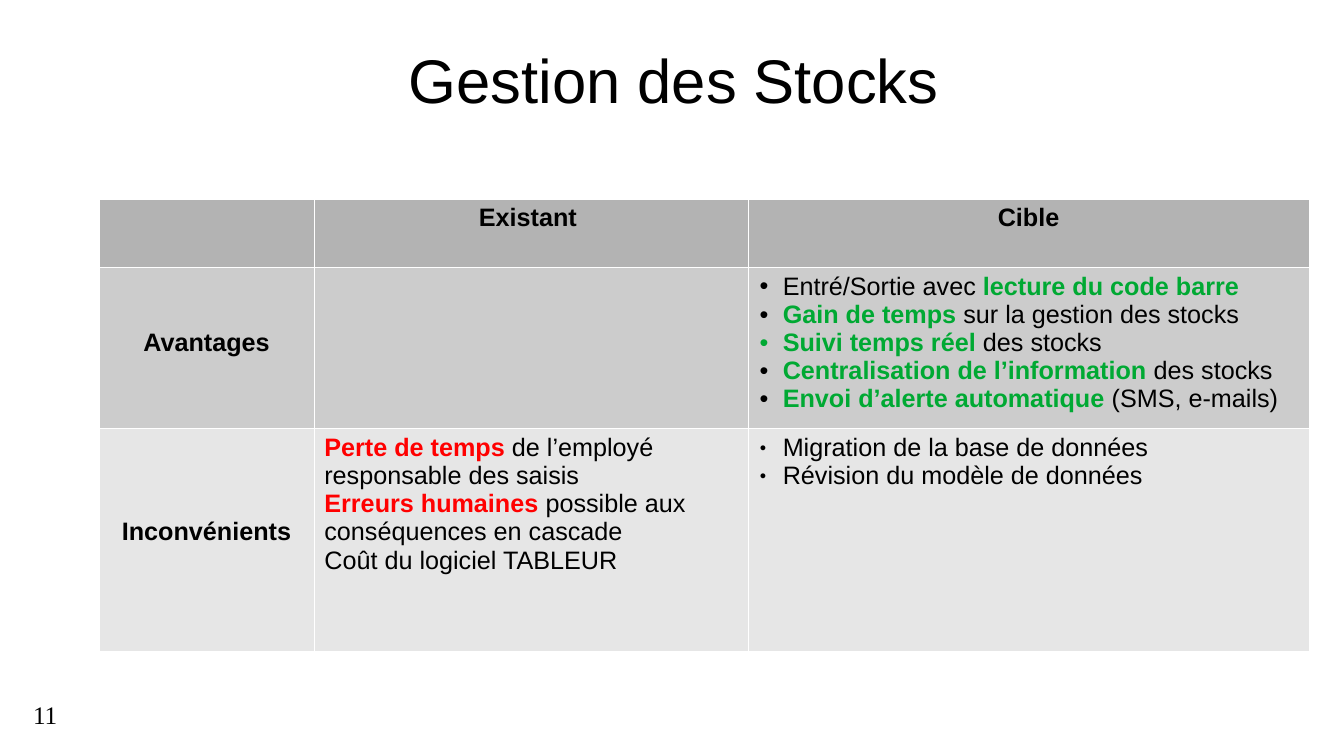
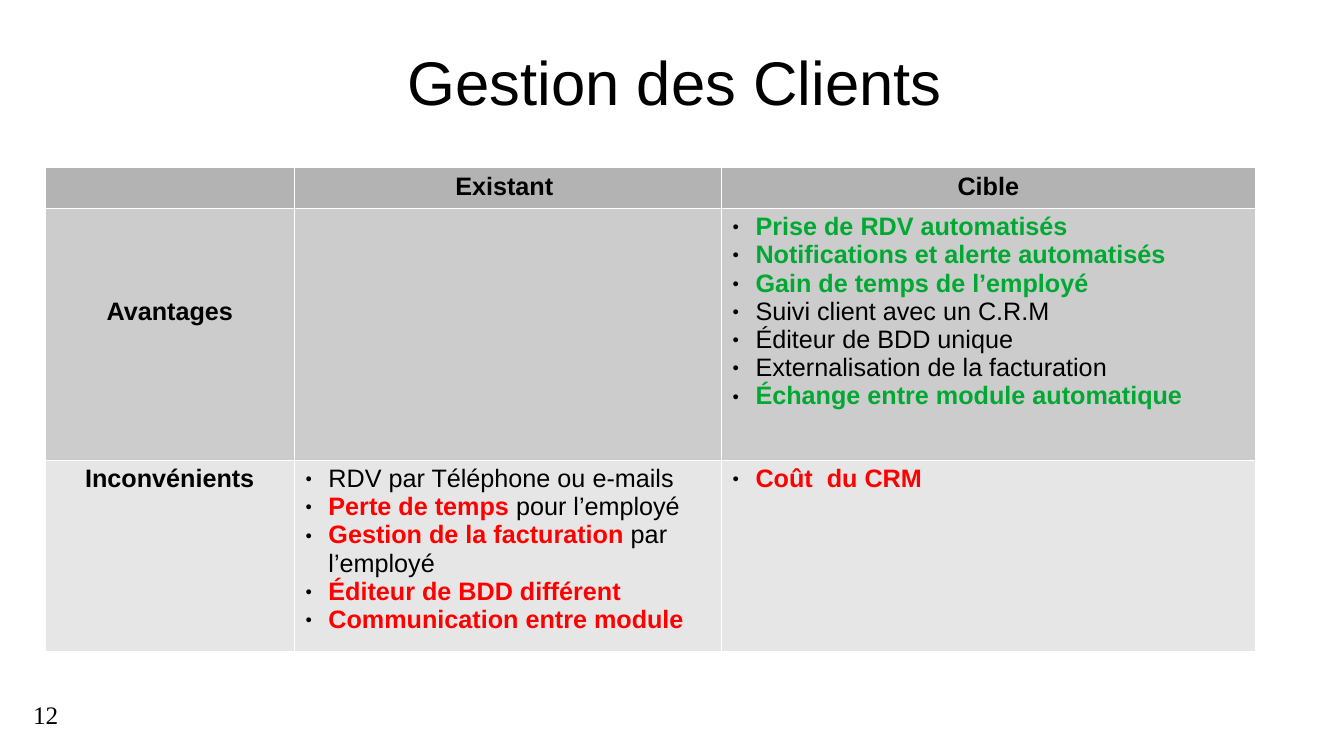
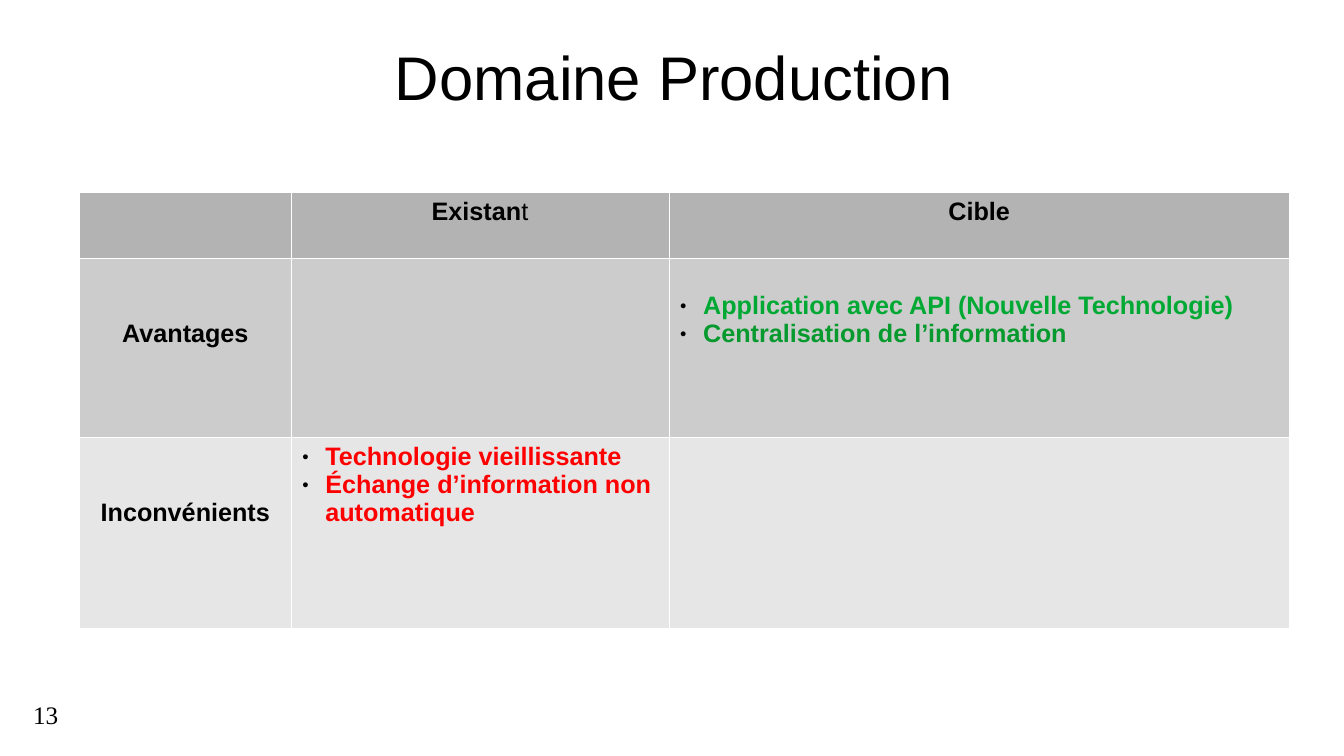
from dataclasses import dataclass

from lxml import etree
from pptx import Presentation
from pptx import util as u
from pptx.dml.color import RGBColor
from pptx.enum import text
from pptx.oxml import ns


class Theme:
    black, white = "000000", "FFFFFF"
    green, deep_green, red = "00A933", "069A2E", "FF0000"
    row_fills = ("B3B3B3", "CCCCCC", "E6E6E6")
    row_emphasis = (black, green, red)
    font, number_font = "Arial", "Times New Roman"
    title_size, body_size = 44, 18
    border_width = 0.06
    inset_x, inset_y = 0.1, 0.05
    line_height = 0.28
    mark_sizes = {"●": 45, "•": 100}


# Positions are percentages of the slide's width and height
SLIDE_WIDTH, SLIDE_HEIGHT = 13.34, 7.5
NUMBER_BOX = (1.72, 91.87, 11.47, 6.13)
FIRST_NUMBER = 11


@dataclass
class Item:
    """One paragraph; parts between bars are bold and coloured."""
    words: str
    mark: str = "●"
    mark_color: str = Theme.black
    emphasis: str = ""
    centered: bool = False


@dataclass
class Comparison:
    title: str
    title_box: tuple
    table_corner: tuple
    columns: tuple
    rows: tuple
    label_leads: tuple  # lines left free above each row label
    target_pros: list
    current_cons: list
    target_cons: list
    current_heading: str = "|Existant |"
    target_lead: int = 0
    title_centered_in_box: bool = False


def across(share):
    return u.Inches(SLIDE_WIDTH * share / 100)


def down(share):
    return u.Inches(SLIDE_HEIGHT * share / 100)


def apply(target, values):
    for name, value in values.items():
        setattr(target, name, value)


def add_run(paragraph, words, size, font=Theme.font, color=Theme.black, bold=False):
    run = paragraph.add_run()
    run.text = words
    apply(run.font, {"name": font, "size": u.Pt(size), "bold": bold})
    run.font.color.rgb = RGBColor.from_string(color)


def add_element(parent, tag, **attributes):
    return etree.SubElement(parent, ns.qn(tag), attributes)


def add_label(slide, box, words, size, font, align, centered_in_box=False):
    left, top, width, height = box
    shape = slide.shapes.add_textbox(across(left), down(top), across(width), down(height))
    inset_x, inset_y = (0, 0) if centered_in_box else (Theme.inset_x, Theme.inset_y)
    anchor = text.MSO_ANCHOR.MIDDLE if centered_in_box else text.MSO_ANCHOR.TOP
    apply(shape.text_frame, {
        "word_wrap": True, "vertical_anchor": anchor,
        "margin_left": u.Inches(inset_x), "margin_right": u.Inches(inset_x),
        "margin_top": u.Inches(inset_y), "margin_bottom": u.Inches(inset_y)})
    paragraph = shape.text_frame.paragraphs[0]
    paragraph.alignment = align
    add_run(paragraph, words, size, font)


def add_bullet(paragraph, mark, color):
    properties = paragraph._p.get_or_add_pPr()
    properties.set("marL", str(u.Inches(0.24)))
    properties.set("indent", str(u.Inches(-0.23)))
    add_element(add_element(properties, "a:buClr"), "a:srgbClr", val=color)
    add_element(properties, "a:buSzPct", val=str(Theme.mark_sizes[mark] * 1000))
    add_element(properties, "a:buFont", typeface=Theme.font)
    add_element(properties, "a:buChar", char=mark)


def style_cell(cell, fill, lead):
    properties = cell._tc.get_or_add_tcPr()
    for side in ("a:lnL", "a:lnR", "a:lnT", "a:lnB"):
        line = add_element(properties, side, w=str(u.Pt(Theme.border_width)))
        add_element(add_element(line, "a:solidFill"), "a:srgbClr", val=Theme.white)
    cell.fill.solid()
    cell.fill.fore_color.rgb = RGBColor.from_string(fill)
    apply(cell, {
        "margin_left": u.Inches(Theme.inset_x), "margin_right": u.Inches(Theme.inset_x),
        "margin_top": u.Inches(Theme.inset_y + lead * Theme.line_height),
        "margin_bottom": u.Inches(Theme.inset_y)})


def fill_cell(cell, items, emphasis):
    for index, item in enumerate(items):
        frame = cell.text_frame
        paragraph = frame.add_paragraph() if index else frame.paragraphs[0]
        paragraph.alignment = text.PP_ALIGN.CENTER if item.centered else text.PP_ALIGN.LEFT
        if item.mark:
            add_bullet(paragraph, item.mark, item.mark_color)
        for position, part in enumerate(item.words.split("|")):
            strong = position % 2 == 1
            color = (item.emphasis or emphasis) if strong else Theme.black
            if part:
                add_run(paragraph, part, Theme.body_size, color=color, bold=strong)


def heading(words):
    return [Item(words, mark="", emphasis=Theme.black, centered=True)]


def add_comparison_table(slide, content):
    left, top = content.table_corner
    table = slide.shapes.add_table(
        len(content.rows), len(content.columns), across(left), down(top),
        across(sum(content.columns)), down(sum(content.rows))).table
    apply(table, {"first_row": False, "horz_banding": False})
    for column, share in zip(table.columns, content.columns):
        column.width = across(share)
    for row, share in zip(table.rows, content.rows):
        row.height = down(share)

    grid = (
        ([], heading(content.current_heading), heading("|Cible|")),
        (heading("|Avantages|"), [], content.target_pros),
        (heading("|Inconvénients|"), content.current_cons, content.target_cons))
    pros_lead, cons_lead = content.label_leads
    leads = ((0, 0, 0), (pros_lead, 0, content.target_lead), (cons_lead, 0, 0))
    for row, cells in enumerate(grid):
        for column, items in enumerate(cells):
            cell = table.cell(row, column)
            style_cell(cell, Theme.row_fills[row], leads[row][column])
            fill_cell(cell, items, Theme.row_emphasis[row])


def add_comparison_slide(presentation, number, content):
    slide = presentation.slides.add_slide(presentation.slide_layouts[6])
    add_label(slide, NUMBER_BOX, str(number), Theme.body_size, Theme.number_font,
              text.PP_ALIGN.LEFT)
    add_label(slide, content.title_box, content.title, Theme.title_size, Theme.font,
              text.PP_ALIGN.CENTER, content.title_centered_in_box)
    add_comparison_table(slide, content)


# Slide contents
STOCKS = Comparison(
    title="Gestion des Stocks",
    title_box=(14.77, 2.67, 70.76, 15.6),
    title_centered_in_box=True,
    table_corner=(7.35, 26.27),
    columns=(16.04, 32.31, 41.68),
    rows=(9.07, 21.2, 29.47),
    label_leads=(2, 3),
    target_pros=[
        Item("Entré/Sortie avec| lecture du code barre|", "•"),
        Item("|Gain de temps |sur la gestion des stocks", "•"),
        Item("|Suivi temps réel| des stocks", "•", Theme.green),
        Item("|Centralisation de l’information| des stocks", "•"),
        Item("|Envoi d’alerte automatique| (SMS, e-mails)", "•")],
    current_cons=[
        Item("|Perte de temps |de l’employé responsable des saisis", ""),
        Item("|Erreurs humaines |possible aux conséquences en cascade", ""),
        Item("Coût du logiciel TABLEUR", "")],
    target_cons=[
        Item("Migration de la base de données"),
        Item("Révision du modèle de données")])

CLIENTS = Comparison(
    title="Gestion des Clients",
    title_box=(22.19, 5.2, 56.07, 13.73),
    table_corner=(3.37, 22.13),
    columns=(18.52, 31.78, 39.73),
    rows=(5.33, 33.33, 25.33),
    label_leads=(3, 0),
    target_pros=[
        Item("|Prise de RDV automatisés|"),
        Item("|Notifications et alerte automatisés|"),
        Item("|Gain de temps de l’employé|"),
        Item("Suivi client avec un C.R.M"),
        Item("Éditeur de BDD unique"),
        Item("Externalisation de la facturation"),
        Item("|Échange entre module automatique|")],
    current_cons=[
        Item("RDV par Téléphone ou e-mails "),
        Item("|Perte de temps| pour l’employé"),
        Item("|Gestion de la facturation| par l’employé"),
        Item("|Éditeur de BDD différent|"),
        Item("|Communication entre module |")],
    target_cons=[Item("|Coût  du CRM |")])

PRODUCTION = Comparison(
    title="Domaine Production",
    title_box=(17.69, 4.53, 64.92, 13.07),
    table_corner=(5.92, 25.47),
    columns=(15.74, 28.11, 46.18),
    rows=(8.67, 23.73, 25.2),
    label_leads=(2, 2),
    current_heading="|Existan|t",
    target_lead=1,
    target_pros=[
        Item("|Application avec API (Nouvelle Technologie)|"),
        Item("|Centralisation de l’information|", emphasis=Theme.deep_green)],
    current_cons=[
        Item("|Technologie\u00a0vieillissante |"),
        Item("|Échange d’information non automatique|")],
    target_cons=[])


def main():
    presentation = Presentation()
    apply(presentation, {"slide_width": u.Inches(SLIDE_WIDTH),
                         "slide_height": u.Inches(SLIDE_HEIGHT)})
    for number, content in enumerate((STOCKS, CLIENTS, PRODUCTION), FIRST_NUMBER):
        add_comparison_slide(presentation, number, content)
    presentation.save("out.pptx")


main()
